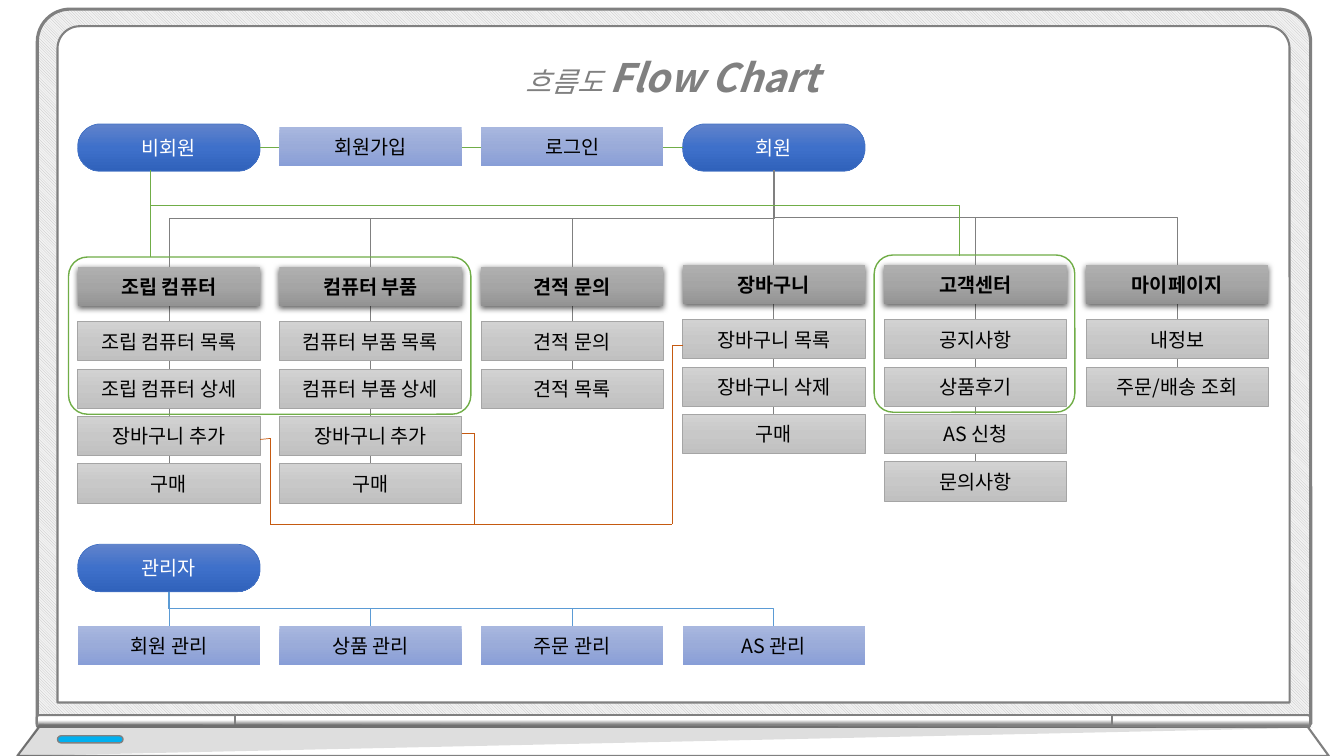
import pptx
import pptx.util
import pptx.dml.color
import pptx.enum.dml
import pptx.enum.shapes
import pptx.enum.text
import pptx.oxml.ns
import lxml.etree

inch = pptx.util.Inches
point = pptx.util.Pt
color = pptx.dml.color.RGBColor.from_string
name = pptx.oxml.ns.qn
sub = lxml.etree.SubElement
kinds = pptx.enum.shapes.MSO_SHAPE
links = pptx.enum.shapes.MSO_CONNECTOR
align = pptx.enum.text.PP_ALIGN
middle = pptx.enum.text.MSO_ANCHOR.MIDDLE

theme = {
    "font": "Noto Sans CJK KR", "body": 14, "small": 20, "large": 28,
    "gray": "808080", "white": "FFFFFF", "black": "000000",
    "green": "70AD47", "blue": "5B9BD5", "orange": "C55A11", "light": "00B0F0",
    "edge": "A5A5A5", "rim": "4472C4",
    "hatch": ("BFBFBF", "F2F2F2"),
    "head": [(0, "AFAFAF"), (50, "A5A5A5"), (100, "939393")],
    "item": [(0, "D2D2D2"), (50, "C8C8C8"), (100, "C0C0C0")],
    "step": [(0, "A8B7DF"), (50, "9AABD9"), (100, "889ED7")],
    "role": [(0, "6183CB"), (50, "3E70CA"), (100, "3062BB")],
    "hinge": [(17, "808080"), (59, "FFFFFF")],
}
gray, green, orange = theme["gray"], theme["green"], theme["orange"]

deck = pptx.Presentation()
deck.slide_width, deck.slide_height = inch(13.33), inch(7.5)
slide = deck.slides.add_slide(deck.slide_layouts[6])
shapes = slide.shapes


def box(kind, area, fill=None, edge=None, width=0.5, label="", ink="black",
        bold=False, round=(), turn=0, angle=270):
    shape = shapes.add_shape(kind, *map(inch, area))
    shape.shadow.inherit = False
    shape.rotation = turn
    for index, value in enumerate(round):
        shape.adjustments[index] = value
    if fill is None:
        shape.fill.background()
    elif isinstance(fill, list):
        shape.fill.gradient()
        shape.fill.gradient_angle = angle
        stops = shape._element.spPr.find(".//" + name("a:gsLst"))
        for stop in list(stops):
            stops.remove(stop)
        for place, tone in fill:
            stop = sub(stops, name("a:gs"), pos=str(place * 1000))
            sub(stop, name("a:srgbClr"), val=tone)
    else:
        shape.fill.solid()
        shape.fill.fore_color.rgb = color(fill)
    if edge:
        shape.line.color.rgb = color(edge)
        shape.line.width = point(width)
    else:
        shape.line.fill.background()
    if label:
        frame = shape.text_frame
        frame.text = label
        frame.word_wrap = True
        frame.vertical_anchor = middle
        line = frame.paragraphs[0]
        line.alignment = align.CENTER
        font = line.runs[0].font
        font.size, font.bold = point(theme["body"]), bold
        font.color.rgb = color(theme[ink])
    return shape


def wire(left, top, right, low, tone, bend=None):
    kind = links.STRAIGHT
    if bend:
        kind = links.ELBOW
        midx, midy = (left + right) / 2, (top + low) / 2
        tall, wide = (low - top) / 2, abs(right - left) / 2
        turn, side = (90, 1) if right < left else (270, -1)
        left, right = midx - side * tall, midx + side * tall
        top, low = midy - wide, midy + wide
    link = shapes.add_connector(kind, *map(inch, (left, top, right, low)))
    link.line.color.rgb = color(tone)
    link.line.width = point(0.5)
    part = link._element.spPr
    sub(part, name("a:effectLst"))
    if bend:
        part.find(name("a:xfrm")).set("rot", str(turn * 60000))
        guides = part.find(name("a:prstGeom")).find(name("a:avLst"))
        sub(guides, name("a:gd"), name="adj1", fmla=f"val {int(bend * 100000)}")


start, pitch, wide, high, row = 0.77, 2, 1.81, 0.39, 0.47
cols = [start + pitch * index for index in range(6)]
mids = [left + wide / 2 for left in cols]

case = box(kinds.ROUND_2_SAME_RECTANGLE, (0.37, 0.09, 12.63, 7.09), theme["white"], gray, 2.25, round=(0.046, 0))
case.fill.patterned()
case.fill.pattern = pptx.enum.dml.MSO_PATTERN.LIGHT_DOWNWARD_DIAGONAL
case.fill.fore_color.rgb, case.fill.back_color.rgb = map(color, theme["hatch"])
box(kinds.ROUND_2_SAME_RECTANGLE, (0.57, 0.26, 12.22, 6.71), theme["white"], gray, 1.5, round=(0.033, 0))
for left, top, span, curve, turn, angle in [
        (1.29, 6.17, 1.97, 0.193, 270, 0), (11.95, 6.17, 1.97, 0.193, 90, 180), (6.62, 2.8, 8.7, 0, 270, 0)]:
    box(kinds.ROUND_2_SAME_RECTANGLE, (left, top, 0.12, span), theme["hinge"], gray, 1.5,
        round=(curve, 0), turn=turn, angle=angle)

base = [(0.39, 7.21), (12.97, 7.21), (13.18, 7.5), (0.17, 7.5)]
shade = [(0.39, 7.18), (0.17, 7.5), (13.02, 7.22)]
for spots, tone in [(base, "white"), (shade, "black")]:
    spots = [(inch(left), inch(top)) for left, top in spots]
    path = shapes.build_freeform(*spots[0], scale=1)
    path.add_line_segments(spots[1:], close=True)
    form = path.convert_to_shape()
    form.shadow.inherit = False
    form.fill.solid()
    form.fill.fore_color.rgb = color(theme[tone])
    if tone == "white":
        form.line.color.rgb = color(gray)
        form.line.width = point(1.5)
    else:
        form.line.fill.background()
        sub(form._element.spPr.find(".//" + name("a:srgbClr")), name("a:alpha"), val="13000")
box(kinds.ROUNDED_RECTANGLE, (0.57, 7.3, 0.65, 0.07), theme["light"], gray, 1, round=(0.5,))

wire(1.49, 1.7, 1.49, 2.55, green)
menus = [
    (2.65, "조립 컴퓨터", ["조립 컴퓨터 목록", "조립 컴퓨터 상세", "장바구니 추가", "구매"]),
    (2.65, "컴퓨터 부품", ["컴퓨터 부품 목록", "컴퓨터 부품 상세", "장바구니 추가", "구매"]),
    (2.65, "견적 문의", ["견적 문의", "견적 목록"]),
    (2.63, "장바구니", ["장바구니 목록", "장바구니 삭제", "구매"]),
    (2.63, "고객센터", ["공지사항", "상품후기", "AS 신청", "문의사항"]),
    (2.63, "마이페이지", ["내정보", "주문/배송 조회"]),
]
for left, mid, (top, title, items) in zip(cols, mids, menus):
    wire(mid, top + 0.54 + row * (len(items) - 1), mid, top + high, gray)
    head = box(kinds.RECTANGLE, (left, top, wide, high), theme["head"], label=title, bold=True)
    glow = sub(head._element.spPr.find(name("a:effectLst")), name("a:outerShdw"),
               blurRad=str(point(4.5)), dist=str(point(1.5)), dir="5400000", algn="ctr", rotWithShape="0")
    tone = sub(glow, name("a:srgbClr"), val=theme["black"])
    sub(tone, name("a:alpha"), val="63000")
    for index, item in enumerate(items):
        box(kinds.RECTANGLE, (left, top + 0.54 + row * index, wide, high), theme["item"], theme["edge"], label=item)

steps = [(1, 1.26, "회원가입"), (2, 1.26, "로그인"), (0, 6.21, "회원 관리"),
         (1, 6.21, "상품 관리"), (2, 6.21, "주문 관리"), (3, 6.21, "AS 관리")]
for col, top, label in steps:
    box(kinds.RECTANGLE, (cols[col], top, wide, high), theme["step"], label=label)
for col, top, label in [(0, 1.23, "비회원"), (3, 1.23, "회원"), (0, 5.4, "관리자")]:
    box(kinds.ROUNDED_RECTANGLE, (cols[col], top, wide, row), theme["role"], theme["rim"],
        label=label, ink="white", round=(0.483,))

title = shapes.add_textbox(*map(inch, (3.67, 0.25, 6, 0.81))).text_frame
title.word_wrap = True
line = title.paragraphs[0]
line.alignment, line.line_spacing = align.CENTER, 1.5
for label, size, bold in [("흐름도 ", "small", False), ("Flow Chart", "large", True)]:
    run = line.add_run()
    run.text = label
    run.font.size, run.font.bold, run.font.italic = point(theme[size]), bold, True
    run.font.color.rgb = color(gray)

for left in cols[:3]:
    wire(left + wide, 1.46, left + pitch, 1.46, green)
wire(mids[0], 5.87, mids[0], 6.21, theme["blue"])
for mid in mids[1:4]:
    wire(mids[0], 5.87, mid, 6.21, theme["blue"], 0.5)
for mid, menu in zip(mids, menus):
    wire(mids[3], 1.69, mid, menu[0], gray, 0.5)

route = [(2.58, 4.36), (2.68, 4.35), (2.68, 5.2), (6.67, 5.2), (6.67, 3.43), (6.77, 3.43)]
branch = [(4.58, 4.3), (4.7, 4.3), (4.7, 5.2)]
for spots in (route, branch):
    for first, last in zip(spots, spots[1:]):
        wire(*first, *last, orange)

for left, top, span in [(0.68, 2.55, 3.99), (8.67, 2.53, 1.99)]:
    box(kinds.ROUNDED_RECTANGLE, (left, top, span, 1.56), edge=green, width=1, round=(0.12,))
wire(1.49, 1.69, 9.52, 2.54, green, 0.403)

for shape in shapes:
    if shape.has_text_frame:
        for line in shape.text_frame.paragraphs:
            for run in line.runs:
                run.font.name = theme["font"]
                sub(run._r.rPr, name("a:ea"), typeface=theme["font"])

deck.save("out.pptx")
